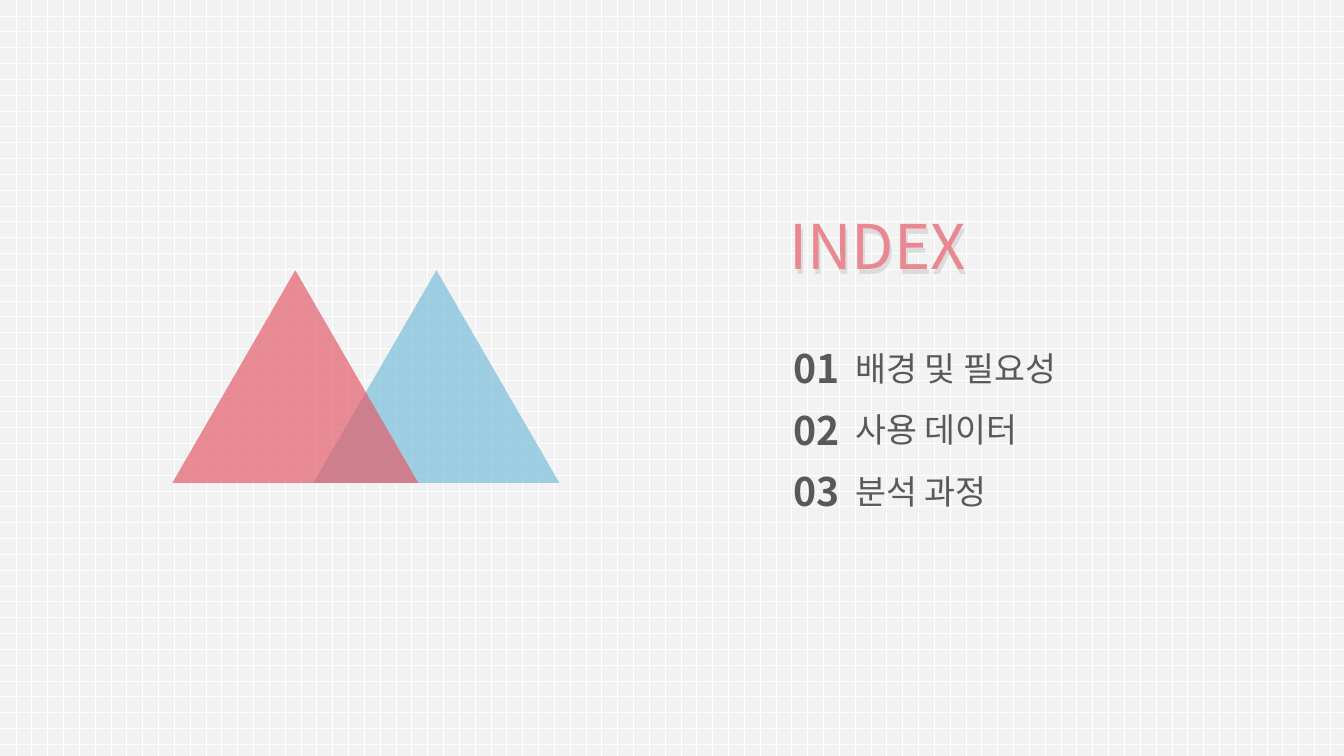
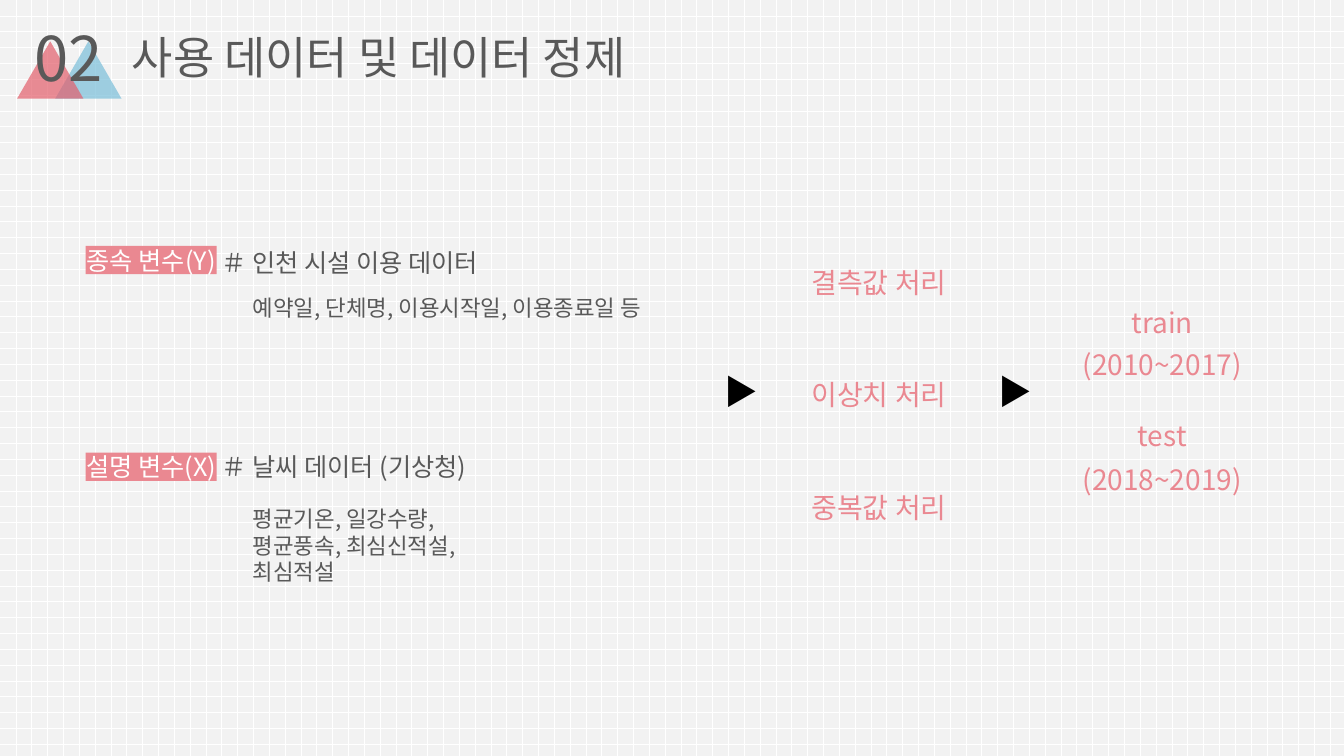
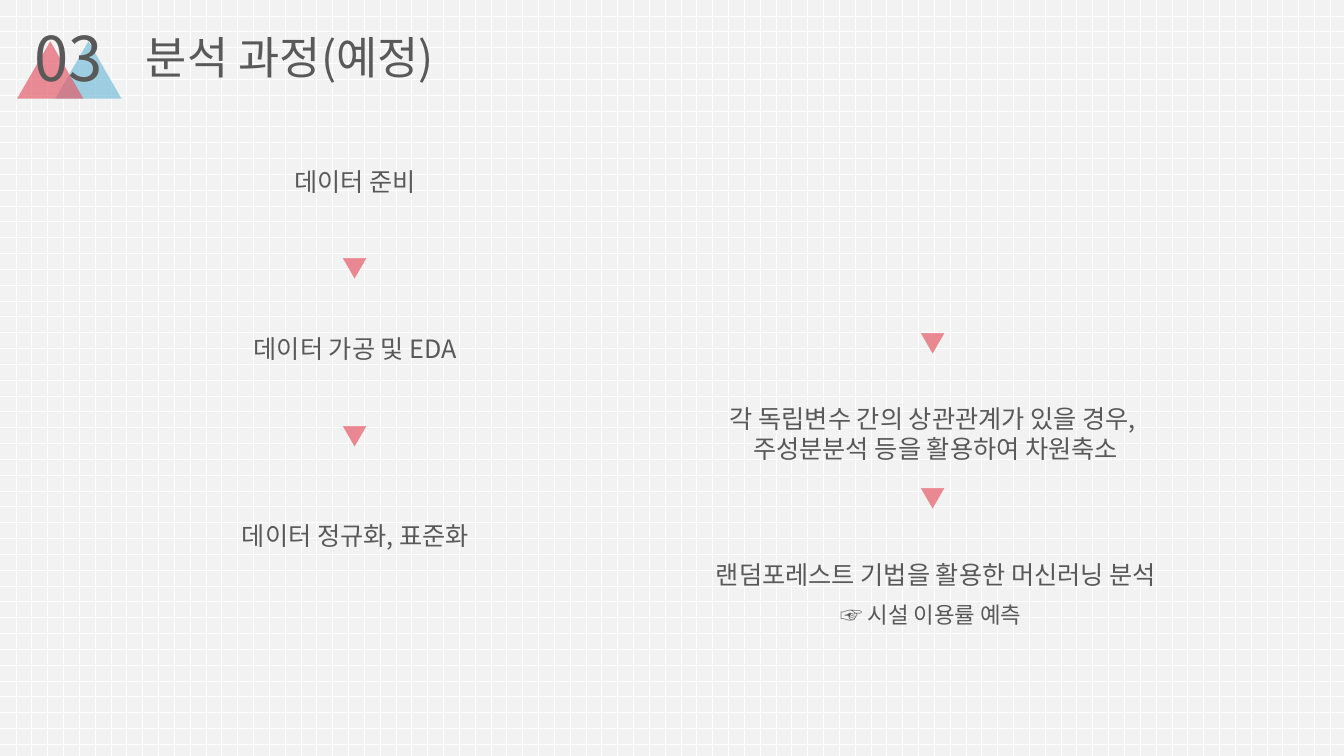
from lxml import etree
from pptx import Presentation
from pptx.dml.color import RGBColor
from pptx.enum.dml import MSO_PATTERN
from pptx.enum.shapes import MSO_SHAPE
from pptx.enum.text import MSO_ANCHOR, MSO_AUTO_SIZE, PP_ALIGN
from pptx.oxml.ns import qn
from pptx.util import Pt

LEFT, CENTER = PP_ALIGN.LEFT, PP_ALIGN.CENTER
MIDDLE = MSO_ANCHOR.MIDDLE
GROW = MSO_AUTO_SIZE.SHAPE_TO_FIT_TEXT
TRIANGLE, RECTANGLE = MSO_SHAPE.ISOSCELES_TRIANGLE, MSO_SHAPE.RECTANGLE
DOT_GRID = MSO_PATTERN.DOTTED_GRID

FONT = "Noto Sans CJK KR"
COLORS = {
    "paper": "F2F2F2",
    "white": "FFFFFF",
    "text": "595959",
    "pink": "EA8891",
    "shade": "DBDBDB",
    "red": "E35F6C",
    "blue": "79BED9",
    "black": "000000",
}

INDEX_ITEMS = ["배경 및 필요성", "사용 데이터", "분석 과정"]

VARIABLES = [
    ("종속 변수(Y)", "＃ 인천 시설 이용 데이터", "예약일, 단체명, 이용시작일, 이용종료일 등",
     175.7, 172.8, 206.6, 298),
    ("설명 변수(X)", "＃ 날씨 데이터 (기상청)", "평균기온, 일강수량, 평균풍속, 최심신적설, 최심적설",
     323.3, 319, 357.1, 201.6),
]
CLEANING_STEPS = ["결측값 처리", "이상치 처리", "중복값 처리"]
SPLITS = [("train", 214.6), ("(2010~2017)", 244.8), ("test", 295.2), ("(2018~2019)", 326.9)]
STAGE_ARROWS = [498.2, 694.1]

PREPARATION = [("데이터 준비", 115.2), ("데이터 가공 및 EDA", 234.7), ("데이터 정규화, 표준화", 367.9)]
ANALYSIS = [
    (["각 독립변수 간의 상관관계가 있을 경우,", " 주성분분석 등을 활용하여 차원축소"], 436.3, 284.4, 51, 18),
    (["랜덤포레스트 기법을 활용한 머신러닝 분석"], 438.5, 396, 28.8, 18),
    (["☞ 시설 이용률 예측"], 434.9, 426.2, 26.6, 16),
]
FLOW_ARROWS = [(228.2, 176.4), (228.2, 296.6), (641.5, 230.4), (641.5, 341.3)]


def color(name):
    return RGBColor.from_string(COLORS[name])


def write(frame, lines, size, tint, align=LEFT, bold=False):
    frame.text = "\n".join(lines)
    for paragraph in frame.paragraphs:
        paragraph.alignment = align
        font = paragraph.font
        font.name, font.size, font.bold = FONT, Pt(size), bold
        font.color.rgb = color(tint)
        for run in paragraph.runs:
            run.font.name = FONT
            east_asian = etree.SubElement(run.font._element, qn("a:ea"))
            east_asian.set("typeface", FONT)


def add_text(slide, text, x, y, w, h, size, tint="text", align=LEFT, bold=False):
    frame = slide.shapes.add_textbox(Pt(x), Pt(y), Pt(w), Pt(h)).text_frame
    frame.word_wrap = True
    frame.auto_size = GROW
    write(frame, [text] if isinstance(text, str) else text, size, tint, align, bold)


def add_block(slide, preset, x, y, w, h, tint):
    block = slide.shapes.add_shape(preset, Pt(x), Pt(y), Pt(w), Pt(h))
    block.shadow.inherit = False
    block.fill.solid()
    block.fill.fore_color.rgb = color(tint)
    block.line.fill.background()
    return block


def add_peaks(slide, x, y, scale=1):
    for tint, offset in (("blue", 100.8), ("red", 0)):
        peak = add_block(slide, TRIANGLE, x + offset * scale, y, 175.7 * scale, 151.9 * scale, tint)
        fill_color = peak.fill._xPr.find(qn("a:solidFill"))[0]
        etree.SubElement(fill_color, qn("a:alpha")).set("val", "70000")


def add_header(slide, number, title, x):
    add_text(slide, title, x, 18, 380, 46, 32)
    add_peaks(slide, 12.2, 29.5, 0.27)
    add_text(slide, number, 12.2, 10.8, 74.2, 60.5, 44, align=CENTER)


def add_tag(slide, label, y):
    tag = add_block(slide, RECTANGLE, 61.2, y, 93.6, 20.2, "pink")
    frame = tag.text_frame
    frame.word_wrap = False
    frame.vertical_anchor = MIDDLE
    frame.margin_left = frame.margin_right = frame.margin_top = frame.margin_bottom = 0
    write(frame, [label], 18, "white", CENTER)


def build_index(slide):
    for x, y, tint in ((558, 148.3, "shade"), (556.6, 144.7, "pink")):
        add_text(slide, "INDEX", x, y, 175, 60.5, 44, tint)
    for i, item in enumerate(INDEX_ITEMS):
        y = 242.6 + 43.8 * i
        add_text(slide, item, 604, y + 2.3, 282, 36, 24)
        add_text(slide, f"{i + 1:02}", 559.4, y, 67, 41, 28, bold=True)
    add_peaks(slide, 123.1, 193)


def build_data(slide):
    add_header(slide, "02", "사용 데이터 및 데이터 정제", 87.1)
    for tag, heading, detail, tag_y, heading_y, detail_y, detail_w in VARIABLES:
        add_tag(slide, tag, tag_y)
        add_text(slide, heading, 151.2, heading_y, 380, 28.8, 18)
        add_text(slide, detail, 173.5, detail_y, detail_w, 26.6, 16)
    for x in STAGE_ARROWS:
        add_text(slide, "▶", x, 261.4, 62.6, 36, 24, "black", CENTER)
    for i, step in enumerate(CLEANING_STEPS):
        add_text(slide, step, 560.2, 185.8 + 80.6 * i, 135.4, 31.7, 20, "pink", CENTER)
    for split, y in SPLITS:
        add_text(slide, split, 762.5, y, 135.4, 31.7, 20, "pink", CENTER)


def build_process(slide):
    add_header(slide, "03", "분석 과정(예정)", 97.2)
    for stage, y in PREPARATION:
        add_text(slide, stage, 23.8, y, 460, 28.8, 18, align=CENTER)
    for lines, x, y, h, size in ANALYSIS:
        add_text(slide, lines, x, y, 460, h, size, align=CENTER)
    for x, y in FLOW_ARROWS:
        add_text(slide, "▼", x, y, 50.4, 38.2, 18, "pink", CENTER)


def main():
    prs = Presentation()
    prs.slide_width, prs.slide_height = Pt(960), Pt(540)
    backdrop = prs.slide_master.background.fill
    backdrop.patterned()
    backdrop.pattern = DOT_GRID
    backdrop.fore_color.rgb = color("white")
    backdrop.back_color.rgb = color("paper")
    for build in (build_index, build_data, build_process):
        build(prs.slides.add_slide(prs.slide_layouts[6]))
    prs.save("out.pptx")


if __name__ == "__main__":
    main()
